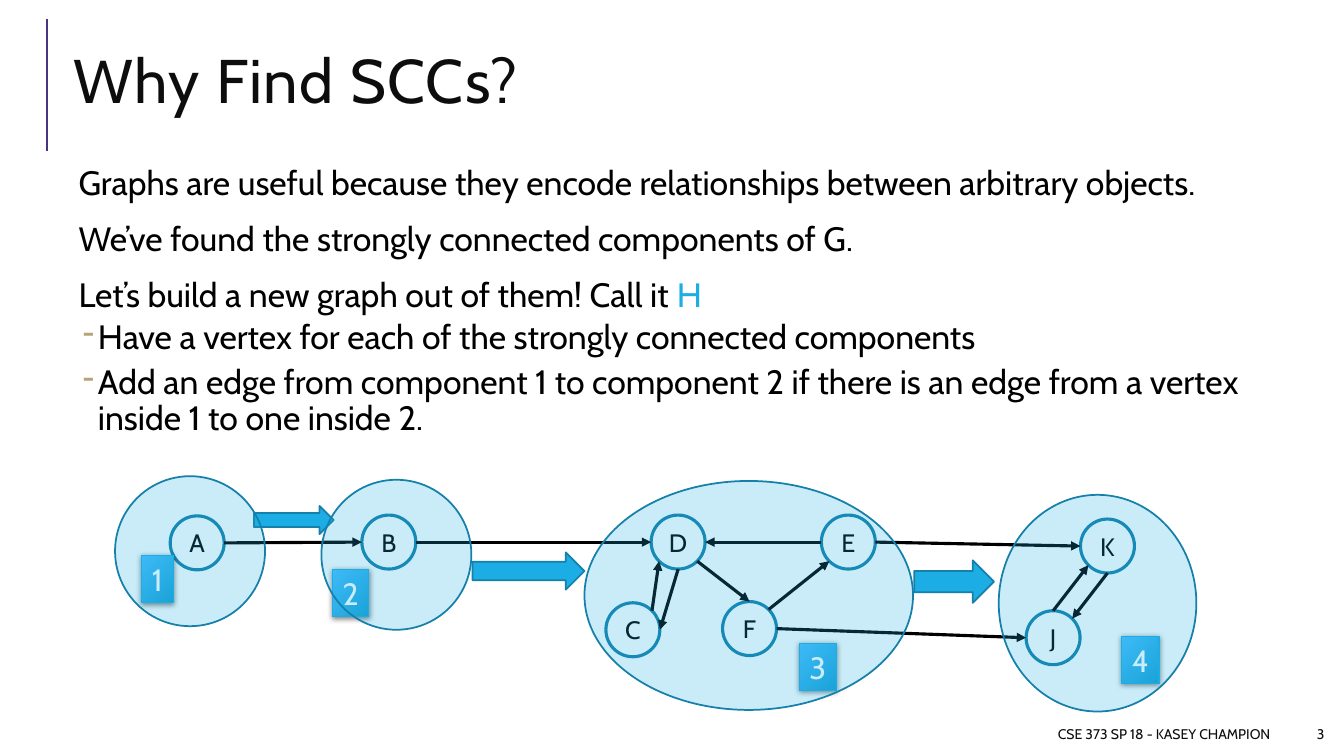
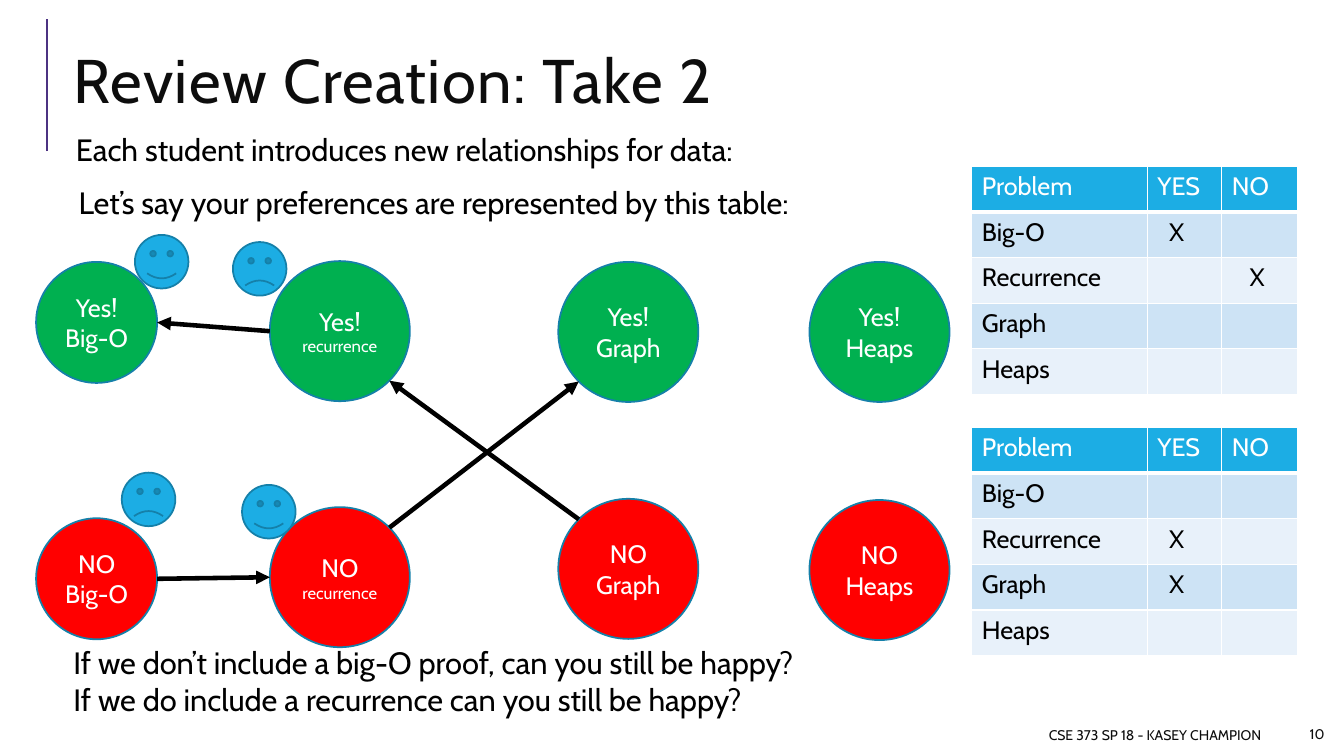
from math import cos, radians, sin

from lxml import etree
from pptx import Presentation
from pptx.dml.color import RGBColor
from pptx.enum import shapes, text
from pptx.oxml import ns
from pptx.util import Cm, Pt

COLORS = {
    "white": "FFFFFF", "black": "000000", "ink": "0D0D0D", "rule": "4C3282",
    "sky": "1CADE4", "outline": "1580A9", "dash": "B6A479",
    "badge_light": "48BFFF", "badge_dark": "1AA1D4",
    "yes": "00B050", "no": "FF0000", "band": "CDE3F5", "pale": "E8F1FA",
}
FONT = "Cabin"
COMPASS = {"E": 0, "SE": 45, "S": 90, "SW": 135, "W": 180, "NW": 225, "N": 270, "NE": 315}
KIND = shapes.MSO_SHAPE
MIDDLE = text.MSO_ANCHOR.MIDDLE
CENTER, RIGHT = text.PP_ALIGN.CENTER, text.PP_ALIGN.RIGHT

NODE_SIZE = 1.36
NODES = {
    "A": (1.39, 1), "B": (6.22, 0.98), "C": (12.37, 3.19), "D": (13.51, 0.98),
    "E": (17.8, 0.98), "F": (15.31, 3.16), "J": (22.96, 3.39), "K": (24.33, 1.08),
}
EDGES = [
    ("A", "E", "B", "W"), ("B", "E", "D", "W"), ("C", "NE", "D", "SW"),
    ("D", "S", "C", "E"), ("D", "SE", "F", "N"), ("F", "NE", "E", "SW"),
    ("E", "W", "D", "E"), ("E", "E", "K", "W"), ("F", "E", "J", "W"),
    ("K", "S", "J", "NE"), ("J", "N", "K", "SW"),
]
BLOCK_ARROWS = [(3.5, 0.75, 2.01, 0.71), (9.01, 1.92, 2.82, 0.94), (20.14, 2.12, 2.01, 1.07)]
BADGES = [(0.66, 2, 0.81), (5.48, 2.35, 0.92), (17.24, 4.21, 0.94), (25.37, 4.03, 0.94)]
COMPONENTS = [(0, 0, 3.78, 3.78), (5.2, 0.09, 3.78, 3.78),
              (11.83, 0.12, 8.28, 5.77), (22.27, 0.47, 4.98, 5.46)]

TOPICS = [
    ("Big-O", 0, 3.05, 18, {"yes": 0.68, "no": 7.14}),
    ("recurrence", 5.89, 3.53, 12, {"yes": 0.66, "no": 6.86}),
    ("Graph", 13.16, 3.53, 18, {"yes": 0.68, "no": 6.65}),
    ("Heaps", 19.49, 3.53, 18, {"yes": 0.68, "no": 6.68}),
]
ANSWERS = {"yes": "Yes! ", "no": "NO "}
IMPLICATIONS = [
    (("no", "Big-O"), "E", ("no", "recurrence"), "W"),
    (("yes", "recurrence"), "W", ("yes", "Big-O"), "E"),
    (("no", "Graph"), "NW", ("yes", "recurrence"), "SE"),
    (("no", "recurrence"), "NE", ("yes", "Graph"), "SW"),
]
FACES = [(2.49, 0, True), (4.96, 0.18, False), (2.16, 5.99, False), (5.19, 6.3, True)]
HEADER = ["Problem", "YES", "NO"]
PROBLEMS = ["Big-O", "Recurrence", "Graph", "Heaps"]


def rgb(name):
    """Return the named colour."""
    return RGBColor.from_string(COLORS[name])


def add_xml(parent, tag, **attributes):
    """Append a DrawingML element and return it."""
    return etree.SubElement(parent, ns.qn(tag), attributes)


def format_run(span, size, color):
    """Set font, size and colour of a run."""
    span.font.name = FONT
    span.font.size = Pt(size)
    span.font.color.rgb = rgb(color)


def add_text(page, box, lines, size, color="black", align=None, anchor=None):
    """Place a text box with one paragraph a line."""
    frame = page.shapes.add_textbox(*map(Cm, box)).text_frame
    frame.word_wrap = True
    frame.vertical_anchor = anchor
    frame.text = "\n".join(lines)
    for para in frame.paragraphs:
        para.alignment = align
        for span in para.runs:
            format_run(span, size, color)
    return frame


def indent(para, left, hanging=0, bullet=None):
    """Set the indent of a paragraph and its bullet."""
    properties = para._p.get_or_add_pPr()
    properties.set("marL", str(Cm(left)))
    properties.set("indent", str(-Cm(hanging)))
    if bullet:
        add_xml(add_xml(properties, "a:buClr"), "a:srgbClr", val=COLORS["dash"])
        add_xml(properties, "a:buChar", char=bullet)


def add_body(page, box, lines, size):
    """Place body text; each line gives its words, left indent and bullet."""
    frame = add_text(page, box, [line[0] for line in lines], size)
    frame.margin_left = frame.margin_right = Cm(0.13)
    frame.margin_top = frame.margin_bottom = Cm(0.13)
    for para, (_, left, bullet) in zip(frame.paragraphs, lines):
        para.line_spacing = 0.9
        para.space_before, para.space_after = (Pt(2), Pt(4)) if bullet else (Pt(12), Pt(2))
        indent(para, left, 0.38 if bullet else 0, bullet)
    return frame


def add_shape(page, kind, box, fill="sky", line="outline", width=1.25):
    """Place a flat filled shape."""
    shape = page.shapes.add_shape(kind, *map(Cm, box))
    shape.shadow.inherit = False
    shape.fill.solid()
    shape.fill.fore_color.rgb = rgb(fill)
    shape.line.color.rgb = rgb(line)
    shape.line.width = Pt(width)
    return shape


def label(shape, parts, color, margin=None):
    """Centre runs of (words, size) inside a shape."""
    frame = shape.text_frame
    frame.vertical_anchor = MIDDLE
    if margin is not None:
        frame.margin_left = frame.margin_right = Cm(margin)
        frame.margin_top = frame.margin_bottom = Cm(margin)
    para = frame.paragraphs[0]
    para.alignment = CENTER
    for words, size in parts:
        span = para.add_run()
        span.text = words
        format_run(span, size, color)


def add_line(page, start, end, color, width, arrow=False):
    """Draw a straight line between two points, with an arrowhead if wanted."""
    line = page.shapes.add_connector(shapes.MSO_CONNECTOR.STRAIGHT, *start, *end)
    line.line.color.rgb = rgb(color)
    line.line.width = Pt(width)
    if arrow:
        add_xml(line.line._get_or_add_ln(), "a:tailEnd", type="triangle")
    add_xml(line._element.spPr, "a:effectLst")


def rim_point(circle, side):
    """Return the point of a circle's rim at a compass side."""
    angle = radians(COMPASS[side])
    return (round(circle.left + circle.width / 2 * (1 + cos(angle))),
            round(circle.top + circle.height / 2 * (1 + sin(angle))))


def link_circles(page, circles, links, width):
    """Draw arrows between the rims of circles."""
    for source, source_side, target, target_side in links:
        add_line(page, rim_point(circles[source], source_side),
                 rim_point(circles[target], target_side), "black", width, True)


def add_page(deck, title, number, footer_left, footer_top):
    """Add a slide with rule, title and footer."""
    page = deck.slides.add_slide(deck.slide_layouts[6])
    add_line(page, (Cm(1.19), Cm(3.81)), (Cm(1.19), Cm(0.48)), "rule", 1.5)
    heading = add_text(page, (1.6, 0.74, 31.06, 2.82), [title], 44, "ink", anchor=MIDDLE)
    heading.paragraphs[0].line_spacing = 0.8
    heading.paragraphs[0].runs[0]._r.get_or_add_rPr().set("spc", "100")
    add_text(page, (footer_left, footer_top, 16.38, 0.76),
             ["CSE 373 SP 18 - KASEY CHAMPION"], 10, "ink", RIGHT, MIDDLE)
    add_text(page, (32.46, 18.11, 1.17, 0.76), [number], 10, "ink", RIGHT, MIDDLE)
    return page


def add_badge(page, box, number):
    """Place a shaded number badge."""
    badge = add_shape(page, KIND.RECTANGLE, box, line="sky", width=0.75)
    badge.fill.gradient()
    badge.fill.gradient_angle = 315
    for stop, color in zip(badge.fill.gradient_stops, ("badge_light", "badge_dark")):
        stop.color.rgb = rgb(color)
    effects = badge._element.spPr.find(ns.qn("a:effectLst"))
    shadow = add_xml(effects, "a:outerShdw", blurRad=str(Pt(4)), dist=str(Pt(1)), dir="5400000")
    add_xml(add_xml(shadow, "a:srgbClr", val=COLORS["black"]), "a:alpha", val="50000")
    label(badge, [(number, 22)], "white", 0)


def add_component_graph(page, left, top):
    """Draw the graph with its strongly connected components."""
    circles = {}
    for name, (x, y) in NODES.items():
        box = (left + x, top + y, NODE_SIZE, NODE_SIZE)
        circles[name] = add_shape(page, KIND.OVAL, box, "white", width=2.25)
        label(circles[name], [(name, 18)], "black", 0)
    link_circles(page, circles, EDGES, 2.25)
    for x, y, width, height in BLOCK_ARROWS:
        add_shape(page, KIND.RIGHT_ARROW, (left + x, top + y, width, height))
    for number, (x, y, width) in enumerate(BADGES, 1):
        add_badge(page, (left + x, top + y, width, 1.19), str(number))
    for x, y, width, height in COMPONENTS:
        oval = add_shape(page, KIND.OVAL, (left + x, top + y, width, height))
        tint = oval._element.spPr.find(ns.qn("a:solidFill"))[0]
        add_xml(tint, "a:alpha", val="23000")


def add_implication_graph(page, left, top):
    """Draw the yes and no circles and the implications between them."""
    circles = {}
    for topic, x, size, points, tops in TOPICS:
        for answer, y in tops.items():
            circle = add_shape(page, KIND.OVAL, (left + x, top + y, size, size), answer)
            label(circle, [(ANSWERS[answer], 18), (topic, points)], "white")
            circles[answer, topic] = circle
    link_circles(page, circles, IMPLICATIONS, 3.25)
    for x, y, happy in FACES:
        face = add_shape(page, KIND.SMILEY_FACE, (left + x, top + y, 1.35, 1.35))
        if not happy:
            face.adjustments[0] = -0.05


def style_cell(cell, words, fill, color, bottom):
    """Fill a table cell, write its words and draw its white borders."""
    cell.text = words
    for span in cell.text_frame.paragraphs[0].runs:
        format_run(span, 18, color)
    properties = cell._tc.get_or_add_tcPr()
    for side, width in (("L", 1), ("R", 1), ("T", 1), ("B", bottom)):
        border = add_xml(properties, f"a:ln{side}", w=str(Pt(width)))
        add_xml(add_xml(border, "a:solidFill"), "a:srgbClr", val=COLORS["white"])
    cell.fill.solid()
    cell.fill.fore_color.rgb = rgb(fill)


def add_preferences(page, left, top, marks):
    """Place a table of preferences; marks maps a problem to its column."""
    table = page.shapes.add_table(5, 3, Cm(left), Cm(top), Cm(8.2), Cm(5.75)).table
    for column, width in zip(table.columns, (4.42, 1.88, 1.9)):
        column.width = Cm(width)
    for index, words in enumerate(HEADER):
        style_cell(table.cell(0, index), words, "sky", "white", 3)
    for row, problem in enumerate(PROBLEMS, 1):
        fill = "band" if row % 2 else "pale"
        for index, heading in enumerate(HEADER):
            marked = marks.get(problem) == heading
            words = "X" if marked else "" if index else problem
            cell = table.cell(row, index)
            style_cell(cell, words, fill, "black", 1)
            if marked:
                cell.margin_left = Cm(0.4 + 0.15 * index)


def build_components(deck):
    """Build the slide on strongly connected components."""
    page = add_page(deck, "Why Find SCCs?", "3", 15.88, 18.11)
    body = add_body(page, (1.6, 4.06, 31.06, 7.39), [
        ("Graphs are useful because they encode relationships between arbitrary objects.", 0.25, None),
        ("We’ve found the strongly connected components of G.", 0.25, None),
        ("Let’s build a new graph out of them! Call it ", 0.25, None),
        ("Have a vertex for each of the strongly connected components", 0.74, "-"),
        ("Add an edge from component 1 to component 2 if there is an edge from a vertex "
         "inside 1 to one inside 2.", 0.74, "-"),
    ], 24.1)
    span = body.paragraphs[2].add_run()
    span.text = "H"
    format_run(span, 24.1, "sky")
    add_component_graph(page, 2.9, 12)


def build_review(deck):
    """Build the slide on review creation."""
    page = add_page(deck, "Review Creation: Take 2", "10", 15.65, 18.14)
    add_body(page, (1.6, 3.28, 31.06, 3.33), [
        ("Each student introduces new relationships for data:", 0.18, None),
        ("Let’s say your preferences are represented by this table:", 0.25, None),
    ], 22)
    add_text(page, (1.6, 16.1, 28.88, 2.9), [
        "If we don’t include a big-O proof, can you still be happy?",
        "If we do include a recurrence can you still be happy?",
    ], 22)
    add_implication_graph(page, 0.91, 5.92)
    add_preferences(page, 24.49, 4.19, {"Big-O": "YES", "Recurrence": "NO"})
    add_preferences(page, 24.49, 10.77, {"Recurrence": "YES", "Graph": "YES"})


def main():
    """Build and save the deck."""
    deck = Presentation()
    deck.slide_width, deck.slide_height = Cm(33.87), Cm(19.05)
    build_components(deck)
    build_review(deck)
    deck.save("out.pptx")


if __name__ == "__main__":
    main()
